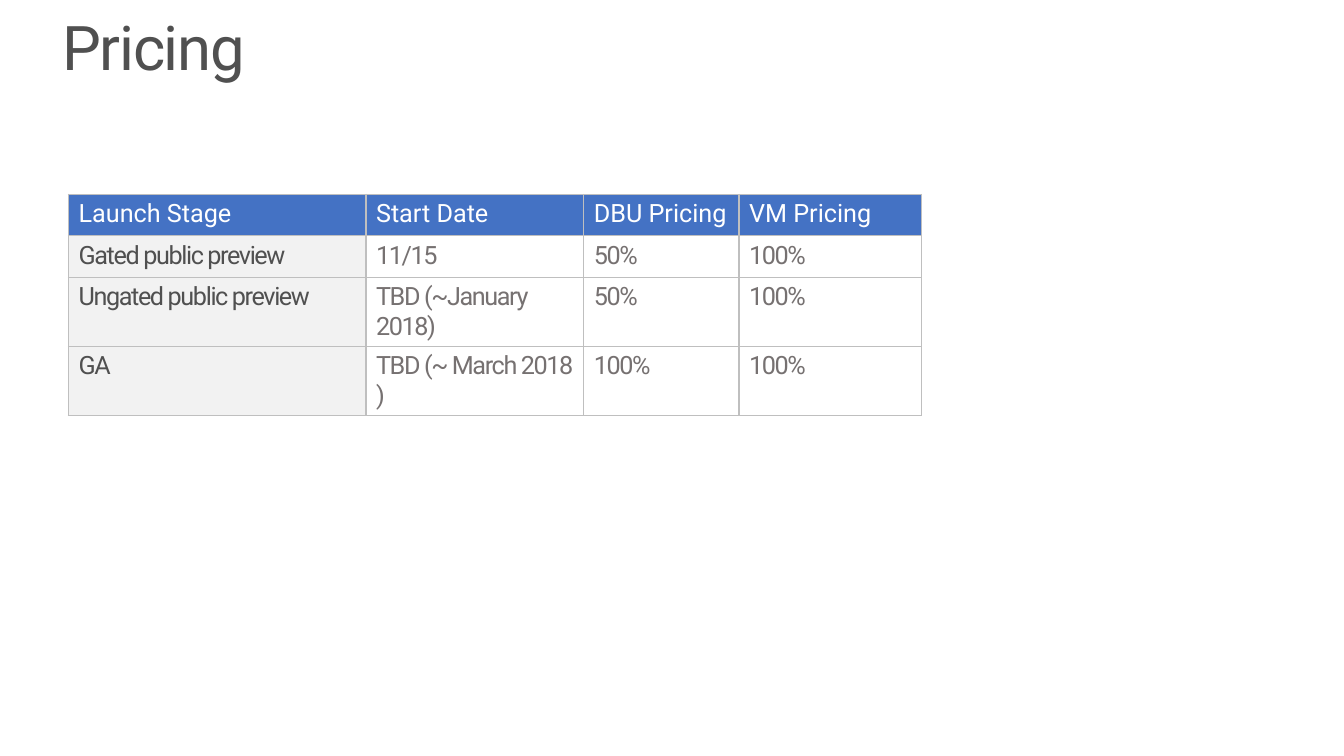
from dataclasses import dataclass

from lxml import etree
from pptx import Presentation
from pptx import util as u
from pptx.dml import color
from pptx.enum import text
from pptx.oxml import ns

SLIDE_WIDTH, SLIDE_HEIGHT = u.Inches(13.33), u.Inches(7.5)
GRID = u.Inches(0.01)  # one grid step, horizontally and vertically
ROW_STEPS = 41
FONT = "Roboto"
COLORS = {
    "header": "4472C4",
    "stage": "F2F2F2",
    "border": "BFBFBF",
    "white": "FFFFFF",
    "dark": "505050",
    "grey": "767171",
}


@dataclass(frozen=True)
class Column:
    heading: str
    steps: int
    values: tuple[str, ...]


@dataclass(frozen=True)
class CellStyle:
    ink: str
    fill: str | None = None
    tracking: int = 0


COLUMNS = (
    Column("Launch Stage", 295, ("Gated public preview", "Ungated public preview", "GA")),
    Column("Start Date", 216, ("11/15", "TBD (~January 2018)", "TBD (~ March 2018 )")),
    Column("DBU Pricing", 154, ("50%", "50%", "100%")),
    Column("VM Pricing", 181, ("100%", "100%", "100%")),
)
HEADER = CellStyle("white", "header")
STAGE = CellStyle("dark", "stage", -100)
VALUE = CellStyle("grey", tracking=-100)


def rgb(name: str) -> color.RGBColor:
    return color.RGBColor.from_string(COLORS[name])


def format_runs(paragraph, size: int, ink: str, tracking: int) -> None:
    """Apply the font; tracking is in hundredths of a point."""
    for run in paragraph.runs:
        run.font.name = FONT
        run.font.size = u.Pt(size)
        run.font.bold = False
        run.font.color.rgb = rgb(ink)
        if tracking:
            run.font._element.set("spc", str(tracking))


def add_borders(cell) -> None:
    properties = cell._tc.get_or_add_tcPr()
    for position, side in enumerate(("lnL", "lnR", "lnT", "lnB")):
        line = etree.Element(ns.qn(f"a:{side}"), w=str(u.Pt(1)))
        fill = etree.SubElement(line, ns.qn("a:solidFill"))
        etree.SubElement(fill, ns.qn("a:srgbClr"), val=COLORS["border"])
        properties.insert(position, line)


def fill_cell(cell, content: str, style: CellStyle) -> None:
    cell.text_frame.text = content
    format_runs(cell.text_frame.paragraphs[0], 18, style.ink, style.tracking)
    if style.fill:
        cell.fill.solid()
        cell.fill.fore_color.rgb = rgb(style.fill)
    else:
        cell.fill.background()
    add_borders(cell)


def add_title(slide) -> None:
    shape = slide.shapes.add_textbox(46 * GRID, 7 * GRID, 1275 * GRID, 98 * GRID)
    frame = shape.text_frame
    frame.word_wrap = True
    frame.vertical_anchor = text.MSO_ANCHOR.TOP
    frame.margin_left = frame.margin_right = 16 * GRID
    frame.margin_top = frame.margin_bottom = 10 * GRID
    frame.text = "Pricing"
    paragraph = frame.paragraphs[0]
    paragraph.line_spacing = 0.9
    format_runs(paragraph, 44, "dark", -100)


def add_pricing_table(slide) -> None:
    row_count = 1 + len(COLUMNS[0].values)
    width = sum(column.steps for column in COLUMNS) * GRID
    table = slide.shapes.add_table(
        row_count, len(COLUMNS), 68 * GRID, 193 * GRID, width, row_count * ROW_STEPS * GRID
    ).table
    table.horz_banding = False
    for row in table.rows:
        row.height = u.Emu(ROW_STEPS * GRID)
    for column_index, column in enumerate(COLUMNS):
        table.columns[column_index].width = u.Emu(column.steps * GRID)
        fill_cell(table.cell(0, column_index), column.heading, HEADER)
        style = VALUE if column_index else STAGE
        for row_index, value in enumerate(column.values, start=1):
            fill_cell(table.cell(row_index, column_index), value, style)


def main() -> None:
    presentation = Presentation()
    presentation.slide_width, presentation.slide_height = SLIDE_WIDTH, SLIDE_HEIGHT
    slide = presentation.slides.add_slide(presentation.slide_layouts[6])
    add_pricing_table(slide)
    add_title(slide)
    presentation.save("out.pptx")


if __name__ == "__main__":
    main()
